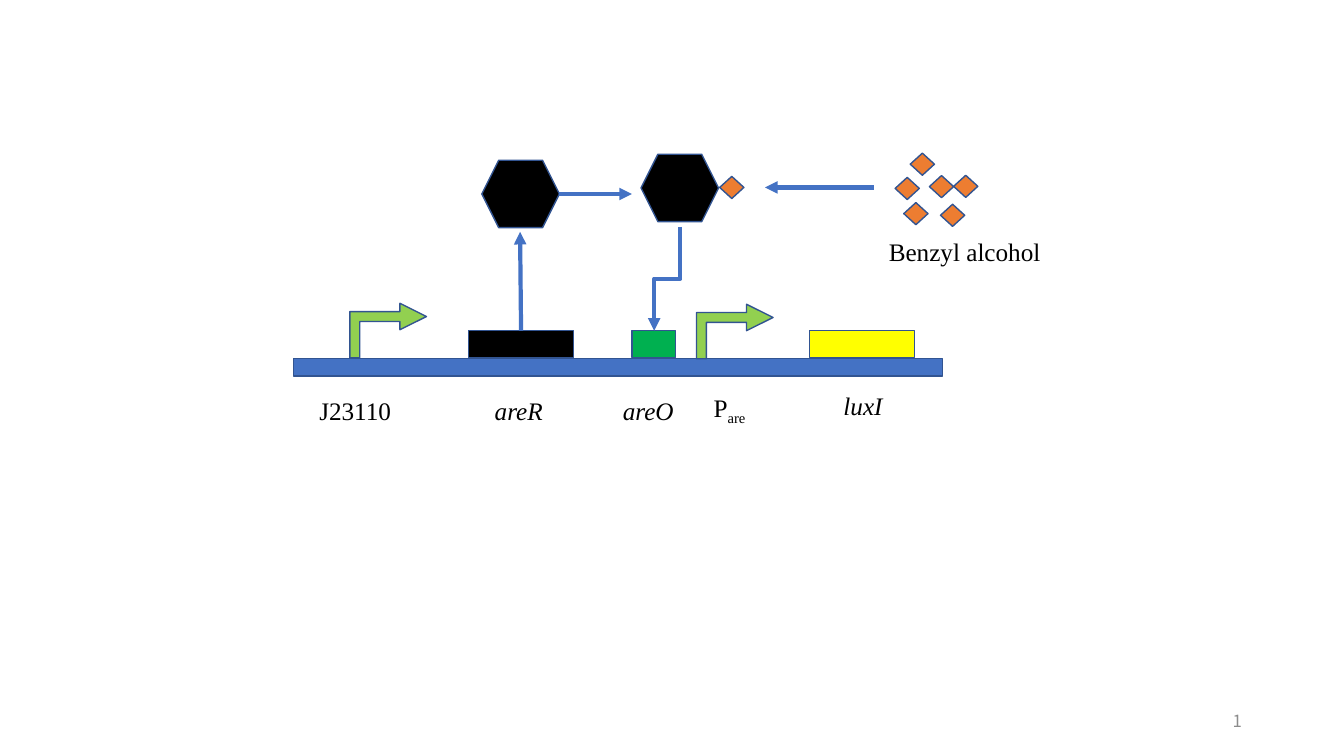
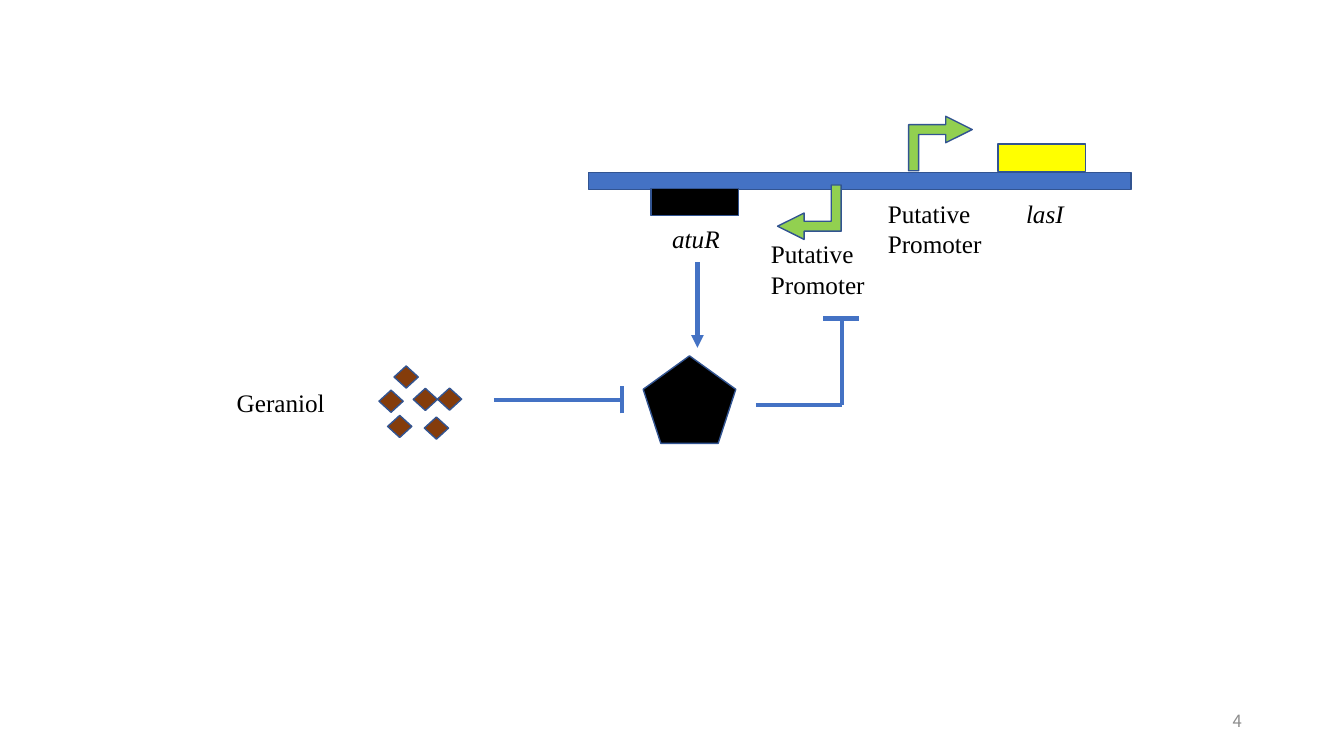
"""Two gene circuit diagrams built from shared elements."""
import pptx
import pptx.dml.color
import pptx.enum.shapes
import pptx.enum.text
import pptx.oxml.ns
import pptx.util
from lxml import etree

Pt = pptx.util.Pt
KIND = pptx.enum.shapes.MSO_SHAPE
JOIN = pptx.enum.shapes.MSO_CONNECTOR
TEXT = pptx.enum.text
BLUE, EDGE, BLACK, GREY = "4472C4", "325491", "000000", "8C8C8C"
LIME, GREEN, YELLOW = "92D050", "00B050", "FFFF00"
ORANGE, BROWN = "ED7D31", "843C0B"
SERIF, SANS = "Times New Roman", "Noto Sans CJK SC"
DROPS = [(10.8, 0), (41.8, 15.8), (6.2, 35.3),
         (0, 17.3), (24.5, 16), (32.4, 36.5)]


def color(code):
    """Turn a hex string into a colour."""
    return pptx.dml.color.RGBColor.from_string(code)


def apply(item, values):
    """Set each named value on an object."""
    for name, value in values.items():
        setattr(item, name, value)


def child(node, tag, **marks):
    """Add an XML element with attributes."""
    return etree.SubElement(node, pptx.oxml.ns.qn(tag), **marks)


class Chart:
    """Holds the deck style and draws on the current slide."""

    def __init__(self):
        """Start a wide deck."""
        self.deck = pptx.Presentation()
        apply(self.deck, {"slide_width": Pt(960), "slide_height": Pt(540)})

    def page(self, number):
        """Open a blank slide with its number."""
        layout = self.deck.slide_layouts[6]
        self.items = self.deck.slides.add_slide(layout).shapes
        box = self.label(number, 678.2, 500.4, 216, font=SANS, size=12,
                         tone=GREY)
        apply(box, {"height": Pt(28.8)})
        apply(box.text_frame, {"auto_size": TEXT.MSO_AUTO_SIZE.NONE,
                               "vertical_anchor": TEXT.MSO_ANCHOR.MIDDLE})
        box.text_frame.paragraphs[0].alignment = TEXT.PP_ALIGN.RIGHT

    def shape(self, kind, fill, x, y, wide, high):
        """Draw an outlined, filled shape."""
        item = self.items.add_shape(kind, Pt(x), Pt(y), Pt(wide), Pt(high))
        item.shadow.inherit = False
        item.fill.solid()
        item.fill.fore_color.rgb = color(fill)
        item.line.color.rgb = color(EDGE)
        item.line.width = Pt(1)
        return item

    def strand(self, x, y, wide):
        """Draw the DNA bar."""
        self.shape(KIND.RECTANGLE, BLUE, x, y, wide, 12.2)

    def gene(self, fill, x, y, wide):
        """Draw a gene block."""
        self.shape(KIND.RECTANGLE, fill, x, y, wide, 19.4)

    def start(self, x, y, high, turn=270):
        """Draw a bent promoter arrow, turned and mirrored."""
        item = self.shape(KIND.BENT_UP_ARROW, LIME, x, y, 38.9, high)
        item.rotation = turn
        item._element.spPr.xfrm.set("flipV", "1")
        for place, value in enumerate((0.182, 0.242, 0.487)):
            item.adjustments[place] = value

    def drop(self, fill, x, y):
        """Draw one molecule."""
        self.shape(KIND.DIAMOND, fill, x, y, 17.3, 15.8)

    def cloud(self, fill, x, y):
        """Draw a cluster of molecules."""
        for right, down in DROPS:
            self.drop(fill, x + right, y + down)

    def label(self, words, x, y, wide, sub="", italic=False,
              font=SERIF, size=18, tone=BLACK):
        """Write text, one paragraph a line, with an optional subscript."""
        box = self.items.add_textbox(Pt(x), Pt(y), Pt(wide), Pt(28.8))
        frame = box.text_frame
        frame.text = words
        apply(frame, {"word_wrap": True,
                      "auto_size": TEXT.MSO_AUTO_SIZE.SHAPE_TO_FIT_TEXT})
        if sub:
            run = frame.paragraphs[-1].add_run()
            run.text = sub
            run.font._element.set("baseline", "-25000")
        for line in frame.paragraphs:
            for run in line.runs:
                apply(run.font, {"name": font, "size": Pt(size),
                                 "italic": italic})
                run.font.color.rgb = color(tone)
        return box

    def line(self, x, y, right, down, tip=False, kind=JOIN.STRAIGHT):
        """Draw a line between two points, with a tip if asked."""
        item = self.items.add_connector(kind, Pt(x), Pt(y),
                                        Pt(right), Pt(down))
        item.line.color.rgb = color(BLUE)
        item.line.width = Pt(3)
        if tip:
            child(item.line._get_or_add_ln(), "a:tailEnd", type="triangle")
        child(item._element.spPr, "a:effectLst")
        return item

    def elbow(self, x, y, left, down):
        """Draw a bent arrow that leaves downward and ends to the left."""
        midx, midy = (x + left) / 2, (y + down) / 2
        wide, high = (down - y) / 2, (x - left) / 2
        item = self.line(midx - wide, midy - high, midx + wide, midy + high,
                         True, JOIN.ELBOW)
        item._element.spPr.xfrm.set("rot", "5400000")


def alcohol(art):
    """Draw the benzyl alcohol circuit."""
    art.page("1")
    art.strand(209.5, 256.3, 463.7)
    art.start(257.8, 208.8, 54.7)
    art.start(505.4, 209.5, 54.7)
    for fill, x, wide in ((BLACK, 334.8, 74.9), (GREEN, 451.4, 31),
                          (YELLOW, 578.2, 74.9)):
        art.gene(fill, x, 236.2, wide)
    art.label("J23110", 221, 278.6, 72)
    art.label("P", 502.6, 276.5, 48, sub="are")
    for name, x, y in (("areR", 346.3, 278.6), ("areO", 437.8, 278.6),
                       ("luxI", 595.4, 275)):
        art.label(name, x, y, 54, italic=True)
    art.cloud(ORANGE, 639.4, 109.4)
    art.label("Benzyl alcohol", 627.8, 165.6, 129.6)
    art.line(372.2, 236.2, 371.5, 165.6, True)
    for x, y in ((344.2, 114.5), (457.9, 110.2)):
        art.shape(KIND.HEXAGON, BLACK, x, y, 55.4, 48.2)
    art.drop(ORANGE, 514.1, 126)
    art.line(399.6, 138.6, 451.4, 138.6, True)
    art.line(624.2, 133.9, 546.5, 133.9, True)
    art.elbow(486, 162, 467.3, 236.2)


def geraniol(art):
    """Draw the geraniol circuit."""
    art.page("4")
    art.strand(420.5, 123.1, 387.4)
    art.start(558.7, 128.9, 45.4, 90)
    art.start(652.3, 79.9, 45.4)
    art.gene(BLACK, 465.1, 134.6, 62.6)
    art.gene(YELLOW, 712.8, 103, 62.6)
    art.label("atuR", 473, 156.2, 54, italic=True)
    art.label("lasI", 725.8, 138.2, 45.4, italic=True)
    art.label("Putative Promoter", 627.1, 138.2, 85.7)
    art.label("Putative\nPromoter", 543.6, 167, 93.6)
    art.label("Geraniol", 162, 272.9, 105.1)
    art.cloud(BROWN, 270.7, 261.4)
    art.shape(KIND.REGULAR_PENTAGON, BLACK, 459.4, 254.2, 66.2, 62.6)
    art.line(498.2, 187.2, 498.2, 248.4, True)
    for ends in ((588.2, 227.5, 613.4, 227.5), (540, 289.4, 601.2, 289.4),
                 (601.2, 229, 601.2, 289.4), (352.8, 285.8, 444.2, 285.8),
                 (444.2, 295.2, 444.2, 275.8)):
        art.line(*ends)


art = Chart()
alcohol(art)
geraniol(art)
art.deck.save("out.pptx")
